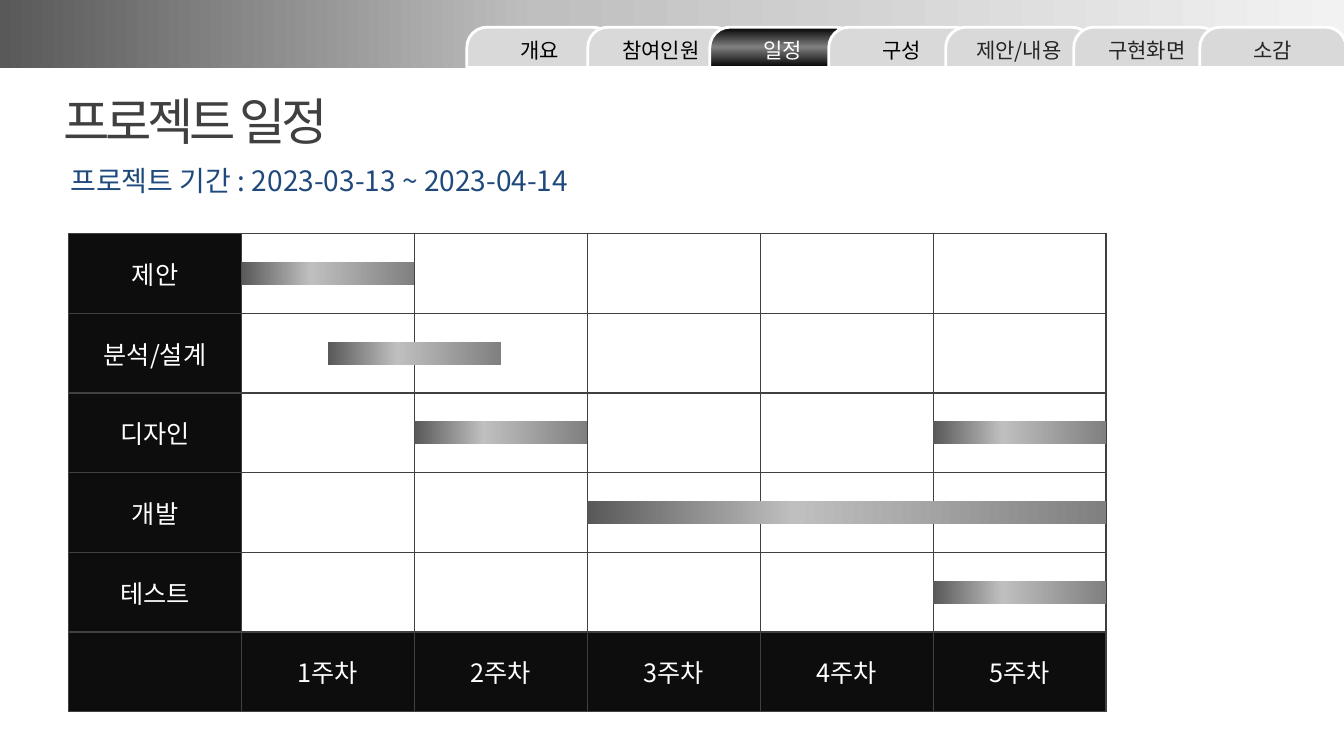
from lxml.etree import SubElement
from pptx import Presentation
from pptx.dml.color import RGBColor
from pptx.enum.shapes import MSO_SHAPE as SHAPE
from pptx.enum.text import MSO_ANCHOR as ANCHOR, MSO_AUTO_SIZE as AUTO, PP_ALIGN as ALIGN
from pptx.oxml.ns import qn
from pptx.util import Inches, Pt

FONT = "Noto Sans CJK KR"
rgb = RGBColor.from_string


def style(tf, size, color, align=ALIGN.LEFT, anchor=ANCHOR.MIDDLE):
    tf.vertical_anchor = anchor
    p = tf.paragraphs[0]
    p.alignment = align
    for r in p.runs:
        r.font.size = Pt(size)
        r.font.name = FONT
        r.font.color.rgb = rgb(color)
        SubElement(r.font._element, qn("a:ea"), typeface=FONT)


def paint(sp, stops, angle=0):
    sp.shadow.inherit = False
    sp.line.fill.background()
    sp.fill.gradient()
    sp.fill.gradient_angle = angle
    gs_list = sp._element.spPr.find(qn("a:gradFill")).find(qn("a:gsLst"))
    for gs in list(gs_list):
        gs_list.remove(gs)
    for pos, color in stops:
        gs = SubElement(gs_list, qn("a:gs"), pos=str(pos * 1000))
        SubElement(gs, qn("a:srgbClr"), val=color)


prs = Presentation()
prs.slide_width, prs.slide_height = Inches(13.33), Inches(7.5)
s = prs.slides.add_slide(prs.slide_layouts[5])

header = s.shapes.add_shape(SHAPE.RECTANGLE, 0, Inches(-0.01), prs.slide_width, Inches(0.68))
paint(header, [(0, "595959"), (40, "BFBFBF"), (100, "F2F2F2")])

title = s.shapes.title
title.left, title.top, title.width, title.height = map(Inches, (0.53, 0.84, 3.08, 0.71))
tf = title.text_frame
tf.text = "프로젝트 일정"
tf.word_wrap = False
tf.auto_size = AUTO.SHAPE_TO_FIT_TEXT
style(tf, 36, "404040", anchor=ANCHOR.TOP)
tf.paragraphs[0].runs[0].font._element.set("spc", "-300")

period = s.shapes.add_textbox(Inches(0.6), Inches(1.62), Inches(8.46), Inches(0.33))
tf = period.text_frame
tf.word_wrap = True
tf.text = "프로젝트 기간 : 2023-03-13 ~ 2023-04-14"
style(tf, 20, "1F497D")

LEFT, TOP, COL, ROW = 0.68, 2.32, 1.715, 0.79
tasks = ["제안", "분석/설계", "디자인", "개발", "테스트", ""]
weeks = [""] + [f"{n}주차" for n in range(1, 6)]
frame = s.shapes.add_table(6, 6, Inches(LEFT), Inches(TOP), Inches(6 * COL), Inches(6 * ROW))
table = frame.table
table.first_row = table.horz_banding = False
for i, task in enumerate(tasks):
    for j, week in enumerate(weeks):
        cell = table.cell(i, j)
        tcPr = cell._tc.get_or_add_tcPr()
        for side in ("lnL", "lnR", "lnT", "lnB"):
            ln = SubElement(tcPr, qn(f"a:{side}"), w=str(Pt(1)))
            SubElement(SubElement(ln, qn("a:solidFill")), qn("a:srgbClr"), val="404040")
        if j == 0 or i == 5:
            cell.fill.solid()
            cell.fill.fore_color.rgb = rgb("0D0D0D")
            cell.text = task if j == 0 else week
            style(cell.text_frame, 18, "FFFFFF", ALIGN.CENTER)
            cell.vertical_anchor = ANCHOR.MIDDLE
        else:
            cell.fill.background()

BAR = 0.23
bars = [(0, 0, 1), (1, 0.5, 1), (2, 1, 1), (3, 2, 3), (4, 4, 1), (2, 4, 1)]
for row, start, length in bars:
    bar = s.shapes.add_shape(
        SHAPE.RECTANGLE, Inches(LEFT + (1 + start) * COL),
        Inches(TOP + (row + 0.5) * ROW - BAR / 2), Inches(length * COL), Inches(BAR))
    paint(bar, [(0, "595959"), (40, "BFBFBF"), (100, "808080")])

tabs = [("개요", 4.63, "000000"), ("참여인원", 5.83, "000000"), ("일정", 7.04, "FFFFFF"),
        ("구성", 8.22, "000000"), ("제안/내용", 9.38, "262626"),
        ("구현화면", 10.65, "262626"), ("소감", 11.9, "262626")]
group = s.shapes.add_group_shape()
for label, left, color in tabs:
    tab = group.shapes.add_shape(SHAPE.ROUND_2_SAME_RECTANGLE, Inches(left), Inches(0.27),
                                 Inches(1.45), Inches(0.4))
    tab.adjustments[0], tab.adjustments[1] = 0.5, 0
    if label == "일정":
        paint(tab, [(0, "000000"), (51, "808080"), (100, "000000")], 90)
    else:
        tab.shadow.inherit = False
        tab.fill.solid()
        tab.fill.fore_color.rgb = rgb("D9D9D9")
    tab.line.color.rgb = rgb("FFFFFF")
    tab.line.width = Pt(2)
    tab.text_frame.text = label
    style(tab.text_frame, 15, color, ALIGN.CENTER)

prs.save("out.pptx")
